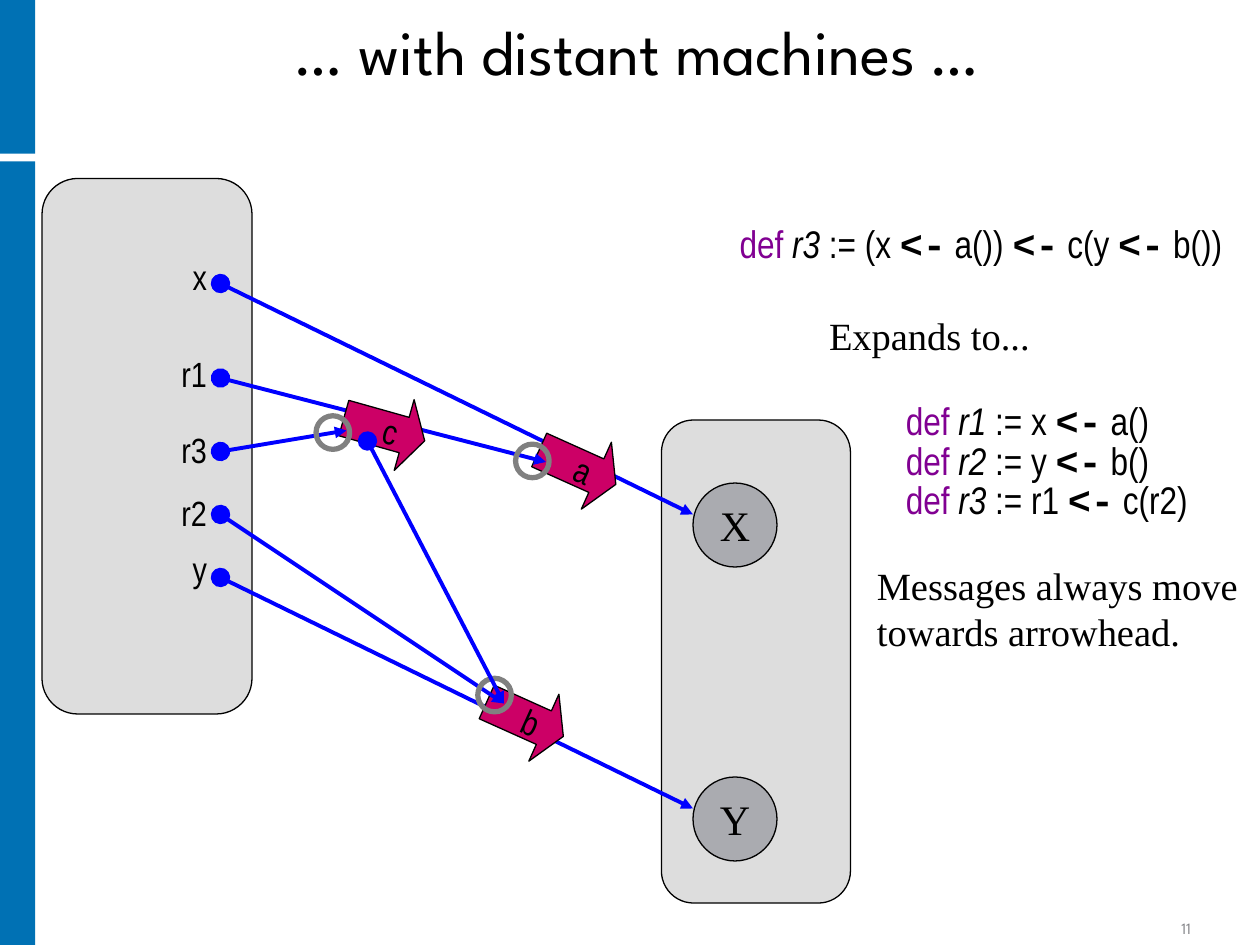
import pptx
import pptx.util
import pptx.dml.color
import pptx.enum.shapes
import pptx.enum.text
import pptx.oxml.ns
from lxml import etree

COLORS = {
    "bar": "0071B4", "panel": "DDDDDD", "machine": "AAABB0", "message": "CC0066",
    "ref": "0000FF", "ring": "808080", "keyword": "810092", "ink": "000000",
    "number": "848589",
}
RGB = {k: pptx.dml.color.RGBColor.from_string(v) for k, v in COLORS.items()}
Inches, Pt = pptx.util.Inches, pptx.util.Pt
SHAPE = pptx.enum.shapes.MSO_SHAPE
ALIGN = pptx.enum.text.PP_ALIGN
ANCHOR = pptx.enum.text.MSO_ANCHOR
U = Inches(1) / 12

prs = pptx.Presentation()
prs.slide_width, prs.slide_height = Inches(10), Inches(7.5)
s = prs.slides.add_slide(prs.slide_layouts[5])


def add_shape(kind, x, y, w, h, fill=None, line="ink", width=0.75):
    sp = s.shapes.add_shape(kind, *[round(v * U) for v in (x, y, w, h)])
    sp.shadow.inherit = False
    if fill:
        sp.fill.solid()
        sp.fill.fore_color.rgb = RGB[fill]
    else:
        sp.fill.background()
    if line:
        sp.line.color.rgb = RGB[line]
        sp.line.width = Pt(width)
    else:
        sp.line.fill.background()
    return sp


def set_text(sp, text, font, size, align, color="ink", wrap=False):
    tf = sp.text_frame
    tf.word_wrap = wrap
    p = tf.paragraphs[0]
    p.text = text
    p.alignment = align
    p.font.name, p.font.size, p.font.color.rgb = font, Pt(size), RGB[color]
    return tf


for top, height in [(0, 14.64), (15.36, 74.64)]:
    add_shape(SHAPE.RECTANGLE, 0, top, 3.36, height, "bar", None)

for box in [(4, 17, 20, 51), (63, 40, 18, 46)]:
    add_shape(SHAPE.ROUNDED_RECTANGLE, *box, "panel").adjustments[0] = 0.17

title = s.shapes.title
title.left, title.top, title.width, title.height = [Inches(v) for v in (1.3, 0.12, 7.51, 1.25)]
tf = set_text(title, "… with distant machines …", "League Spartan", 36, ALIGN.CENTER, wrap=True)
tf.vertical_anchor = ANCHOR.TOP
tf.paragraphs[0].line_spacing = 0.9

CODE = ("Arial Narrow", 22.5)
PROSE = ("Times New Roman", 26.3)
notes = [
    (CODE, 0.21, 0, "r3", " := (x <- a()) <- c(y <- b())"),
    (PROSE, 0.92, 26.3, "", "Expands to..."),
    (CODE, 1.53, 26.3, "r1", " := x <- a()"),
    (CODE, 1.53, 0, "r2", " := y <- b()"),
    (CODE, 1.53, 0, "r3", " := r1 <- c(r2)"),
    (PROSE, 1.3, 22.5, "", "Messages always move"),
    (PROSE, 1.3, 0, "", "towards arrowhead."),
]
tf = s.shapes.add_textbox(Inches(5.66), Inches(1.8), Inches(4.34), Inches(3.39)).text_frame
tf.word_wrap = True
tf.margin_left = tf.margin_top = tf.margin_right = tf.margin_bottom = 0
for i, ((font, spacing), indent, before, name, text) in enumerate(notes):
    p = tf.add_paragraph() if i else tf.paragraphs[0]
    p.font.name, p.font.size, p.font.color.rgb = font, Pt(22), RGB["ink"]
    p.line_spacing, p.space_before = Pt(spacing), Pt(before)
    p._p.get_or_add_pPr().set("marL", str(Inches(indent)))
    if name:
        r = p.add_run()
        r.text = "def "
        r.font.color.rgb = RGB["keyword"]
        r = p.add_run()
        r.text = name
        r.font.italic = True
    for j, part in enumerate(text.split("<-")):
        if j:
            r = p.add_run()
            r.text = "<-"
            r.font.name, r.font.bold = "Courier New", True
        p.add_run().text = part

for label, top in [("x", 1.98), ("r1", 2.75), ("r3", 3.35), ("r2", 3.85), ("y", 4.3)]:
    width = 0.22 + 0.09 * len(label)
    sp = s.shapes.add_textbox(Inches(1.74 - width), Inches(top), Inches(width), Inches(0.44))
    set_text(sp, label, "Arial Narrow", 20, ALIGN.RIGHT)

for label, top in [("X", 46), ("Y", 74)]:
    sp = add_shape(SHAPE.OVAL, 66, top, 8, 8, "machine")
    set_text(sp, label, "Times New Roman", 24, ALIGN.CENTER).vertical_anchor = ANCHOR.MIDDLE

steps = [
    (None, [(21, 27, 66, 49), (21, 55, 66, 77)], None),
    (("a", 51, 41, 24.2), [(21, 36, 52, 44)], (50.7, 43.9)),
    (("b", 46, 65, 24.2), [(21, 49, 48, 67)], (47.1, 66.2)),
    (("c", 32.6, 37.4, 15.7), [(21, 43, 33, 41), (35, 42, 48, 67)], (31.7, 41.2)),
]
RING = 3.2
for message, refs, ring in steps:
    if message:
        label, x, y, angle = message
        sp = add_shape(SHAPE.RIGHT_ARROW, x, y, 8, 7, "message")
        sp.adjustments[0], sp.adjustments[1] = 0.5, 0.29
        sp.rotation = angle
        tf = set_text(sp, label, "Arial Narrow", 20, ALIGN.CENTER)
        tf.vertical_anchor = ANCHOR.MIDDLE
        tf.margin_left = Inches(0.29)
    for ends in refs:
        c = s.shapes.add_connector(pptx.enum.shapes.MSO_CONNECTOR.STRAIGHT,
                                   *[round(v * U) for v in ends])
        c.line.color.rgb, c.line.width = RGB["ref"], Pt(2.25)
        ln = c.line._get_or_add_ln()
        for tag, kind, size in [("a:headEnd", "oval", "lg"), ("a:tailEnd", "triangle", "med")]:
            etree.SubElement(ln, pptx.oxml.ns.qn(tag), type=kind, w=size, len=size)
        etree.SubElement(c._element.spPr, pptx.oxml.ns.qn("a:effectLst"))
    if ring:
        x, y = ring
        add_shape(SHAPE.OVAL, x - RING / 2, y - RING / 2, RING, RING, line="ring", width=3)

sp = s.shapes.add_textbox(Inches(9), Inches(7.25), Inches(0.83), Inches(0.24))
tf = set_text(sp, "11", "League Spartan", 9, ALIGN.CENTER, "number", True)
tf.vertical_anchor = ANCHOR.BOTTOM

prs.save("out.pptx")
